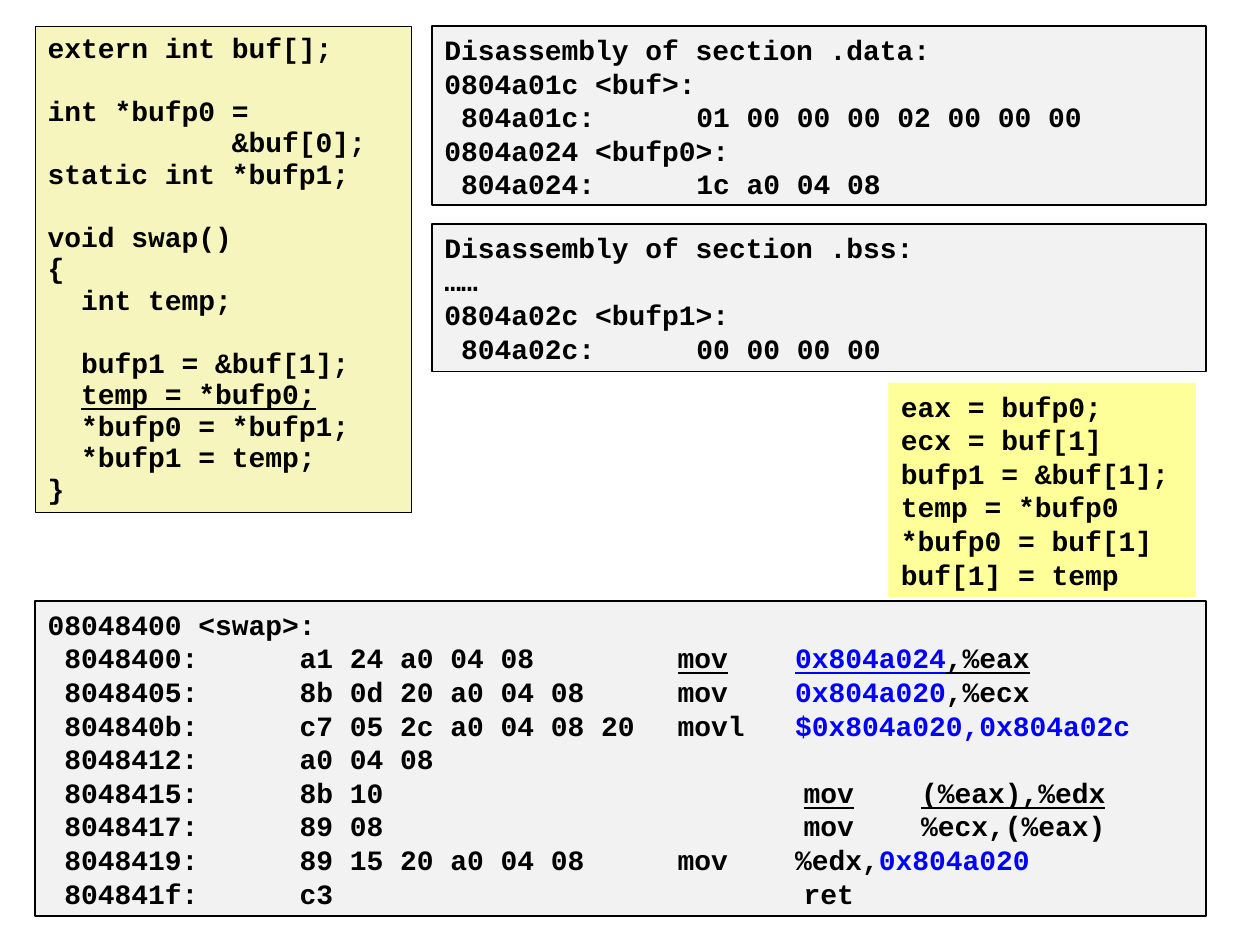
"""Build a slide that sets C source beside its disassembly."""
from dataclasses import dataclass

from lxml import etree
from pptx import Presentation, util as u
from pptx.dml.color import RGBColor
from pptx.enum import shapes, text
from pptx.oxml.ns import qn


@dataclass(frozen=True)
class Theme:
    font: str = "Courier New"
    size: float = 16
    leading: float = 19.2
    tight: float = 18
    ink: str = "000000"
    address: str = "0000FF"
    dump: str = "F2F2F2"
    source: str = "F6F5BD"
    note: str = "FFFF99"


THEME = Theme()
BYTES, OPCODE, OPERAND, LATE_OPCODE, LATE_OPERAND = 5.08, 12.7, 15.07, 15.24, 17.61
SWAP_TABS = (BYTES, OPCODE, OPERAND, LATE_OPCODE, LATE_OPERAND)

SOURCE = [
    "extern int buf[];",
    "",
    "int *bufp0 =",
    "           &buf[0];",
    "static int *bufp1;",
    "",
    "void swap()",
    "{",
    "  int temp;",
    "",
    "  bufp1 = &buf[1];",
    [("  ", ""), ("temp = *bufp0;", "u")],
    "  *bufp0 = *bufp1;",
    "  *bufp1 = temp;",
    "}",
]
DATA = [
    "Disassembly of section .data:",
    "0804a01c <buf>:",
    " 804a01c:\t01 00 00 00 02 00 00 00",
    "0804a024 <bufp0>:",
    " 804a024:\t1c a0 04 08",
]
BSS = [
    "Disassembly of section .bss:",
    "……",
    "0804a02c <bufp1>:",
    " 804a02c:\t00 00 00 00",
]
MEANING = [
    "eax = bufp0;",
    "ecx = buf[1]",
    "bufp1 = &buf[1];",
    "temp = *bufp0",
    "*bufp0 = buf[1]",
    "buf[1] = temp",
]
SWAP = [
    "08048400 <swap>:",
    [(" 8048400:\ta1 24 a0 04 08\t", ""), ("mov\t", "u"),
     ("0x804a024", "ua"), (",%eax", "u")],
    [(" 8048405:\t8b 0d 20 a0 04 08\tmov\t", ""), ("0x804a020", "a"), (",%ecx", "")],
    [(" 804840b:\tc7 05 2c a0 04 08 20\tmovl\t", ""), ("$0x804a020,0x804a02c", "a")],
    " 8048412:\ta0 04 08",
    [(" 8048415:\t8b 10\t\t\t", ""), ("mov\t(%eax),%edx", "u")],
    " 8048417:\t89 08\t\t\tmov\t%ecx,(%eax)",
    [(" 8048419:\t89 15 20 a0 04 08\tmov\t%edx,", ""), ("0x804a020", "a")],
    " 804841f:\tc3\t\t\tret",
]


def rgb(value):
    """Turn a hex string into a colour."""
    return RGBColor.from_string(value)


def add_tabs(p, stops):
    """Give a paragraph left tab stops, in centimetres."""
    tabs = etree.SubElement(p._p.get_or_add_pPr(), qn("a:tabLst"))
    for stop in stops:
        etree.SubElement(tabs, qn("a:tab"), pos=str(u.Cm(stop)), algn="l")


def add_run(p, words, style):
    """Add a run; style u underlines it and style a marks an address."""
    r = p.add_run()
    r.text = words
    r.font.name, r.font.size, r.font.bold = THEME.font, u.Pt(THEME.size), True
    r.font.underline = "u" in style
    r.font.color.rgb = rgb(THEME.address if "a" in style else THEME.ink)


def write_lines(tf, lines, leading, stops):
    """Write one paragraph per line, with an empty line as space before."""
    p, gap = tf.paragraphs[0], False
    for number, line in enumerate(lines):
        if not line:
            gap = True
            continue
        if number:
            p = tf.add_paragraph()
        if stops:
            add_tabs(p, stops)
        p.alignment = text.PP_ALIGN.LEFT
        p.line_spacing = u.Pt(leading)
        if gap:
            p.space_before = u.Pt(leading)
        gap = False
        for words, style in [(line, "")] if isinstance(line, str) else line:
            add_run(p, words, style)


def add_panel(s, box, fill, lines, border=1, leading=THEME.leading, stops=()):
    """Add a filled rectangle holding lines of code."""
    sp = s.shapes.add_shape(shapes.MSO_SHAPE.RECTANGLE, *map(u.Cm, box))
    sp.shadow.inherit = False
    sp.fill.solid()
    sp.fill.fore_color.rgb = rgb(fill)
    if border:
        sp.line.color.rgb = rgb(THEME.ink)
        sp.line.width = u.Pt(border)
    else:
        sp.line.fill.background()
    tf = sp.text_frame
    tf.word_wrap = True
    tf.vertical_anchor = text.MSO_ANCHOR.TOP
    write_lines(tf, lines, leading, stops)


def main():
    """Build and save the slide."""
    prs = Presentation()
    prs.slide_width, prs.slide_height = u.Cm(25.4), u.Cm(19.05)
    s = prs.slides.add_slide(prs.slide_layouts[6])
    add_panel(s, (0.71, 12.12, 23.6, 6.35), THEME.dump, SWAP, stops=SWAP_TABS)
    add_panel(s, (17.91, 7.72, 6.2, 4.32), THEME.note, MEANING, border=0)
    add_panel(s, (0.71, 0.53, 7.59, 9.8), THEME.source, SOURCE,
              border=0.25, leading=THEME.tight)
    add_panel(s, (8.71, 0.53, 15.6, 3.61), THEME.dump, DATA, stops=(BYTES,))
    add_panel(s, (8.71, 4.52, 15.6, 2.97), THEME.dump, BSS, stops=(BYTES,))
    prs.save("out.pptx")


if __name__ == "__main__":
    main()
